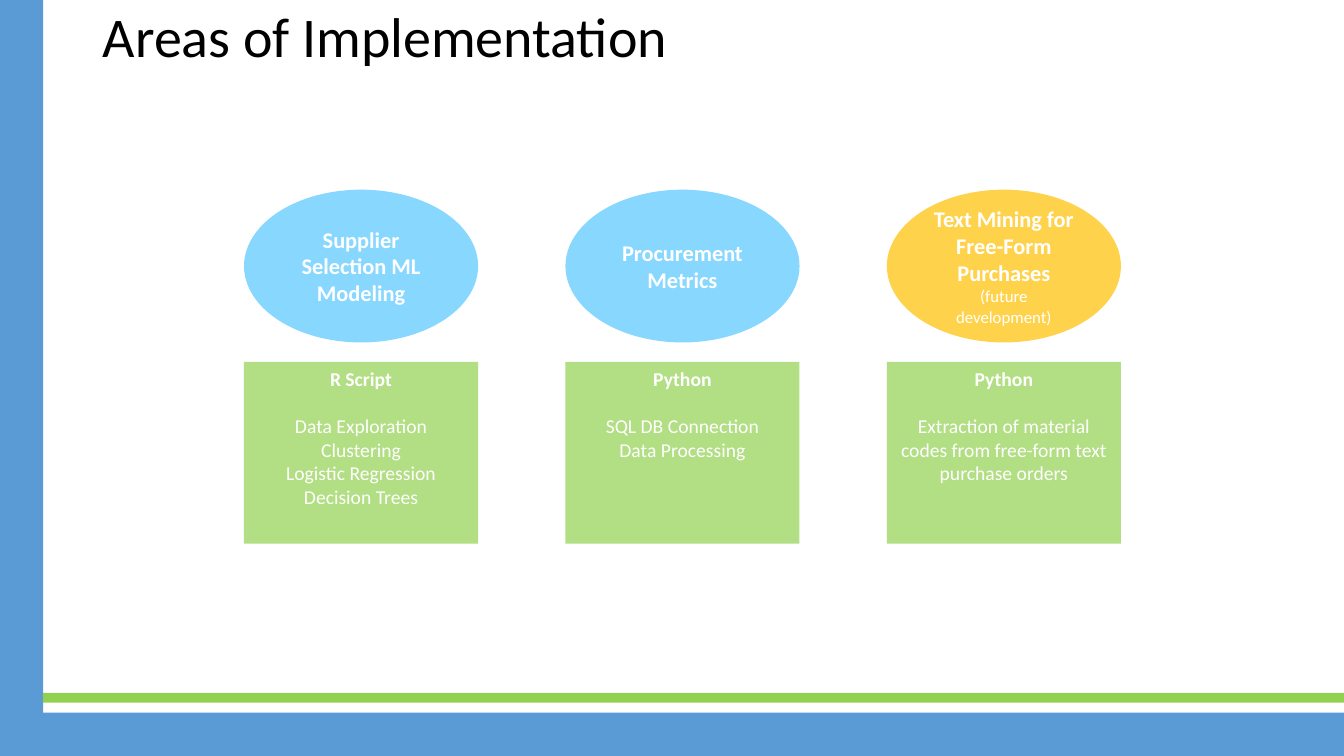
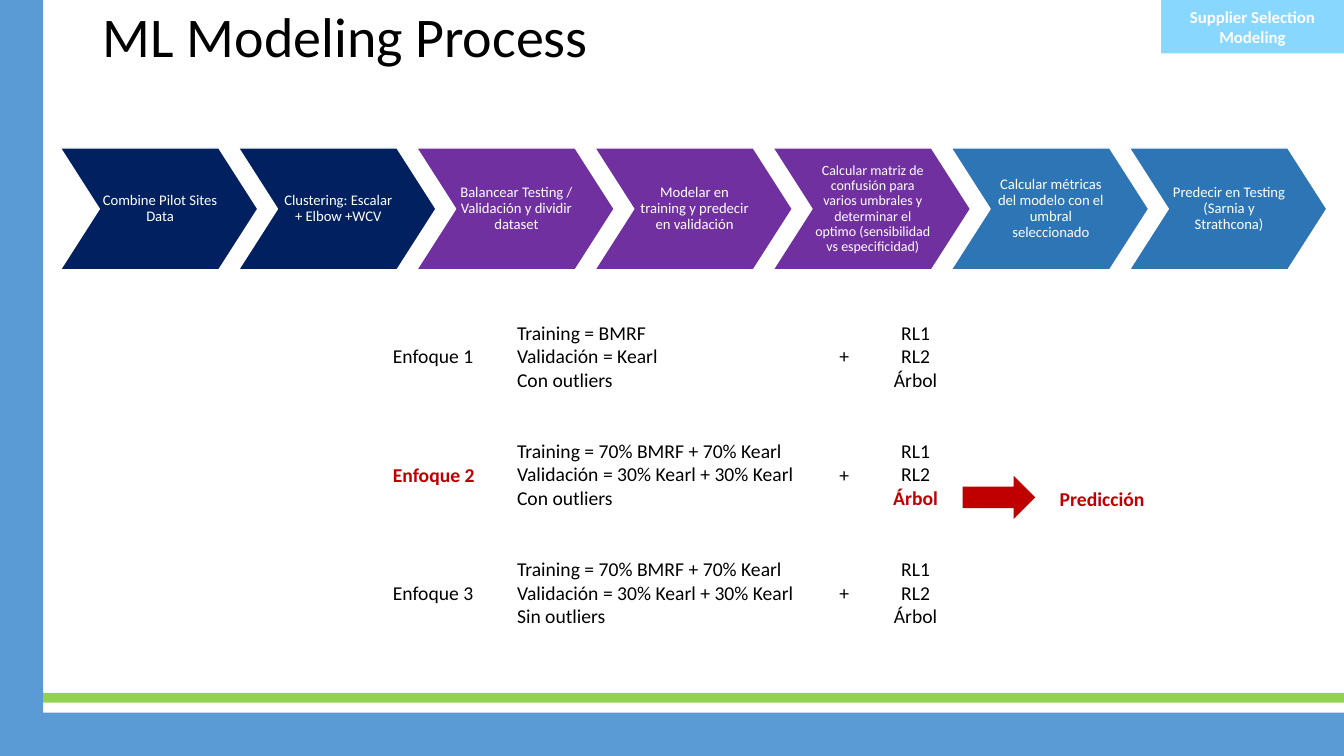
from dataclasses import dataclass

import lxml.etree
import pptx
import pptx.dml.color
import pptx.enum.shapes
import pptx.enum.text
import pptx.oxml.ns
import pptx.presentation
import pptx.shapes.autoshape
import pptx.slide
import pptx.text.text
import pptx.util

Cm = pptx.util.Cm
Pt = pptx.util.Pt
ShapeKind = pptx.enum.shapes.MSO_SHAPE
Align = pptx.enum.text.PP_ALIGN
Anchor = pptx.enum.text.MSO_ANCHOR

FONT = "Calibri"
WHITE, BLACK, RED = "FFFFFF", "000000", "C00000"
BAND_BLUE, GREEN, SKY, AMBER = "5B9BD5", "92D050", "81D5FF", "FFC000"
NAVY, PURPLE, STEEL = "002060", "7030A0", "2E75B5"

SLIDE_WIDTH, SLIDE_HEIGHT = 33.87, 19.05
BAND = 1.09


@dataclass(frozen=True)
class Box:
    """A rectangle in centimetres."""
    left: float
    top: float
    width: float
    height: float


@dataclass(frozen=True)
class Area:
    name: str
    tool: str
    tasks: tuple[str, ...]
    color: str = SKY
    opacity: int = 95
    remark: str = ""


@dataclass(frozen=True)
class Step:
    text: str
    color: str
    size: float = 10.5


@dataclass(frozen=True)
class Approach:
    name: str
    setup: tuple[str, ...]
    chosen: bool = False


AREAS = (
    Area("Supplier Selection ML Modeling", "R Script",
         ("Data Exploration", "Clustering", "Logistic Regression", "Decision Trees")),
    Area("Procurement Metrics", "Python", ("SQL DB Connection", "Data Processing")),
    Area("Text Mining for Free-Form Purchases", "Python",
         ("Extraction of material codes from free-form text purchase orders",),
         AMBER, 70, "(future development)"),
)

STEPS = (
    Step("Combine Pilot Sites Data", NAVY),
    Step("Clustering: Escalar + Elbow +WCV", NAVY),
    Step("Balancear Testing / Validación y dividir dataset", PURPLE),
    Step("Modelar en training y predecir en validación", PURPLE),
    Step("Calcular matriz de confusión para varios umbrales y determinar "
         "el optimo (sensibilidad vs especificidad)", PURPLE, 10),
    Step("Calcular métricas del modelo con el umbral seleccionado", STEEL),
    Step("Predecir en Testing (Sarnia y Strathcona)", STEEL),
)

MIXED_SITES = ("Training = 70% BMRF + 70% Kearl", "Validación = 30% Kearl + 30% Kearl")
APPROACHES = (
    Approach("Enfoque 1", ("Training = BMRF", "Validación = Kearl", "Con outliers")),
    Approach("Enfoque 2", (*MIXED_SITES, "Con outliers"), chosen=True),
    Approach("Enfoque 3", (*MIXED_SITES, "Sin outliers")),
)
MODELS = ("RL1", "RL2", "Árbol")


def rgb(color: str) -> pptx.dml.color.RGBColor:
    return pptx.dml.color.RGBColor.from_string(color)


def place(shape: pptx.shapes.autoshape.Shape, box: Box) -> None:
    shape.left, shape.top = Cm(box.left), Cm(box.top)
    shape.width, shape.height = Cm(box.width), Cm(box.height)


def write(frame: pptx.text.text.TextFrame, text: str, *, size: float = 14,
          color: str = BLACK, bold: bool = False, align: Align = Align.LEFT,
          spacing: float = 1.0, space_after: float = 0) -> None:
    """Add a formatted paragraph, filling the empty first one if there is one."""
    paragraph = frame.paragraphs[-1]
    if paragraph.runs:
        paragraph = frame.add_paragraph()
    paragraph.alignment = align
    paragraph.line_spacing = spacing
    paragraph.space_before = Pt(0)
    paragraph.space_after = Pt(space_after)
    run = paragraph.add_run()
    run.text = text
    run.font.name = FONT
    run.font.size = Pt(size)
    run.font.bold = bold
    run.font.color.rgb = rgb(color)


def add_shape(slide: pptx.slide.Slide, kind: ShapeKind, box: Box, color: str, *,
              opacity: int = 100, anchor: Anchor = Anchor.MIDDLE
              ) -> pptx.shapes.autoshape.Shape:
    shape = slide.shapes.add_shape(
        kind, Cm(box.left), Cm(box.top), Cm(box.width), Cm(box.height))
    shape.shadow.inherit = False
    shape.fill.solid()
    shape.fill.fore_color.rgb = rgb(color)
    shape.line.fill.background()
    if opacity < 100:
        qn = pptx.oxml.ns.qn
        fill_color = shape.element.spPr.find(qn("a:solidFill")).find(qn("a:srgbClr"))
        lxml.etree.SubElement(fill_color, qn("a:alpha"), val=str(opacity * 1000))
    shape.text_frame.word_wrap = True
    shape.text_frame.vertical_anchor = anchor
    return shape


def add_text(slide: pptx.slide.Slide, box: Box) -> pptx.text.text.TextFrame:
    text_box = slide.shapes.add_textbox(
        Cm(box.left), Cm(box.top), Cm(box.width), Cm(box.height))
    text_box.text_frame.word_wrap = True
    return text_box.text_frame


def add_slide(presentation: pptx.presentation.Presentation, title: str) -> pptx.slide.Slide:
    """Add a slide with the shared bands and title."""
    slide = presentation.slides.add_slide(presentation.slide_layouts[5])
    inner_width = SLIDE_WIDTH - BAND
    bands = (
        (Box(0, 0, BAND, SLIDE_HEIGHT), BAND_BLUE),
        (Box(BAND, SLIDE_HEIGHT - BAND, inner_width, BAND), BAND_BLUE),
        (Box(BAND, 17.46, inner_width, 0.25), GREEN),
    )
    for box, color in bands:
        add_shape(slide, ShapeKind.RECTANGLE, box, color)
    place(slide.shapes.title, Box(2.34, 0.1, 29.21, 1.98))
    frame = slide.shapes.title.text_frame
    frame.auto_size = pptx.enum.text.MSO_AUTO_SIZE.NONE
    frame.vertical_anchor = Anchor.TOP
    write(frame, title, size=40, spacing=0.9)
    return slide


def draw_area(slide: pptx.slide.Slide, area: Area, left: float) -> None:
    width = 5.9
    ellipse = add_shape(slide, ShapeKind.OVAL, Box(left, 4.78, width, 3.85),
                        area.color, opacity=area.opacity)
    write(ellipse.text_frame, area.name, size=16, color=WHITE, bold=True,
          align=Align.CENTER)
    if area.remark:
        write(ellipse.text_frame, area.remark, size=12, color=WHITE, align=Align.CENTER)
    card = add_shape(slide, ShapeKind.RECTANGLE, Box(left, 9.12, width, 4.58), GREEN,
                     opacity=70, anchor=Anchor.TOP)
    write(card.text_frame, area.tool, color=WHITE, bold=True, align=Align.CENTER,
          space_after=17)
    for task in area.tasks:
        write(card.text_frame, task, color=WHITE, align=Align.CENTER)


def draw_step(slide: pptx.slide.Slide, step: Step, left: float) -> None:
    chevron = add_shape(slide, ShapeKind.CHEVRON, Box(left, 3.73, 4.98, 3.07), step.color)
    chevron.adjustments[0] = 0.32
    chevron.line.color.rgb = rgb(WHITE)
    chevron.line.width = Pt(1)
    frame = chevron.text_frame
    frame.margin_left = Cm(0.05)
    frame.margin_right = Cm(0)
    frame.margin_top = frame.margin_bottom = Cm(0.03)
    write(frame, step.text, size=step.size, color=WHITE, align=Align.CENTER, spacing=0.9)


def draw_approach(slide: pptx.slide.Slide, approach: Approach, top: float) -> None:
    middle = top + 0.6
    write(add_text(slide, Box(9.65, middle, 3.1, 0.86)), approach.name,
          color=RED if approach.chosen else BLACK, bold=approach.chosen)
    setup = add_text(slide, Box(12.78, top, 7.75, 2.06))
    for line in approach.setup:
        write(setup, line)
    write(add_text(slide, Box(20.83, middle, 0.9, 0.86)), "+", align=Align.CENTER)
    models = add_text(slide, Box(21.74, top, 2.67, 2.06))
    for model in MODELS:
        selected = approach.chosen and model == MODELS[-1]
        write(models, model, color=RED if selected else BLACK, bold=selected,
              align=Align.CENTER)


def build_areas(presentation: pptx.presentation.Presentation) -> None:
    slide = add_slide(presentation, "Areas of Implementation")
    for index, area in enumerate(AREAS):
        draw_area(slide, area, 6.15 + index * 8.1)


def build_process(presentation: pptx.presentation.Presentation) -> None:
    slide = add_slide(presentation, "ML Modeling Process")
    for index, step in enumerate(STEPS):
        draw_step(slide, step, 1.52 + index * 4.49)
    for index, approach in enumerate(APPROACHES):
        draw_approach(slide, approach, 7.95 + index * 2.98)

    # Outcome of the chosen approach
    add_shape(slide, ShapeKind.RIGHT_ARROW, Box(24.26, 11.99, 1.83, 1.09), RED)
    write(add_text(slide, Box(26.44, 12.14, 2.67, 0.86)), "Predicción",
          color=RED, bold=True, align=Align.CENTER)

    # Section tag in the corner
    tag = add_shape(slide, ShapeKind.RECTANGLE, Box(29.26, 0, SLIDE_WIDTH - 29.26, 1.35),
                    SKY, opacity=95)
    write(tag.text_frame, "Supplier Selection Modeling", size=12, color=WHITE,
          bold=True, align=Align.CENTER)


def main() -> None:
    presentation = pptx.Presentation()
    presentation.slide_width = Cm(SLIDE_WIDTH)
    presentation.slide_height = Cm(SLIDE_HEIGHT)
    build_areas(presentation)
    build_process(presentation)
    presentation.save("out.pptx")


if __name__ == "__main__":
    main()
